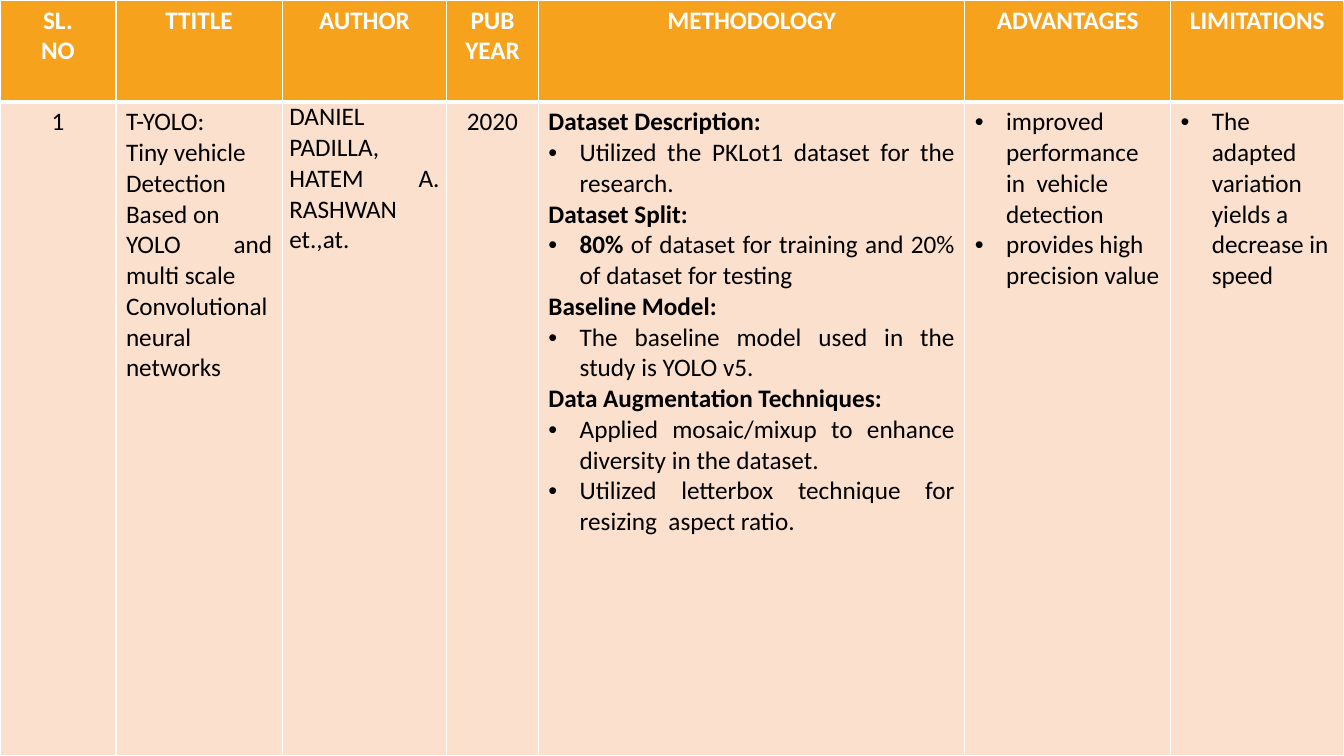
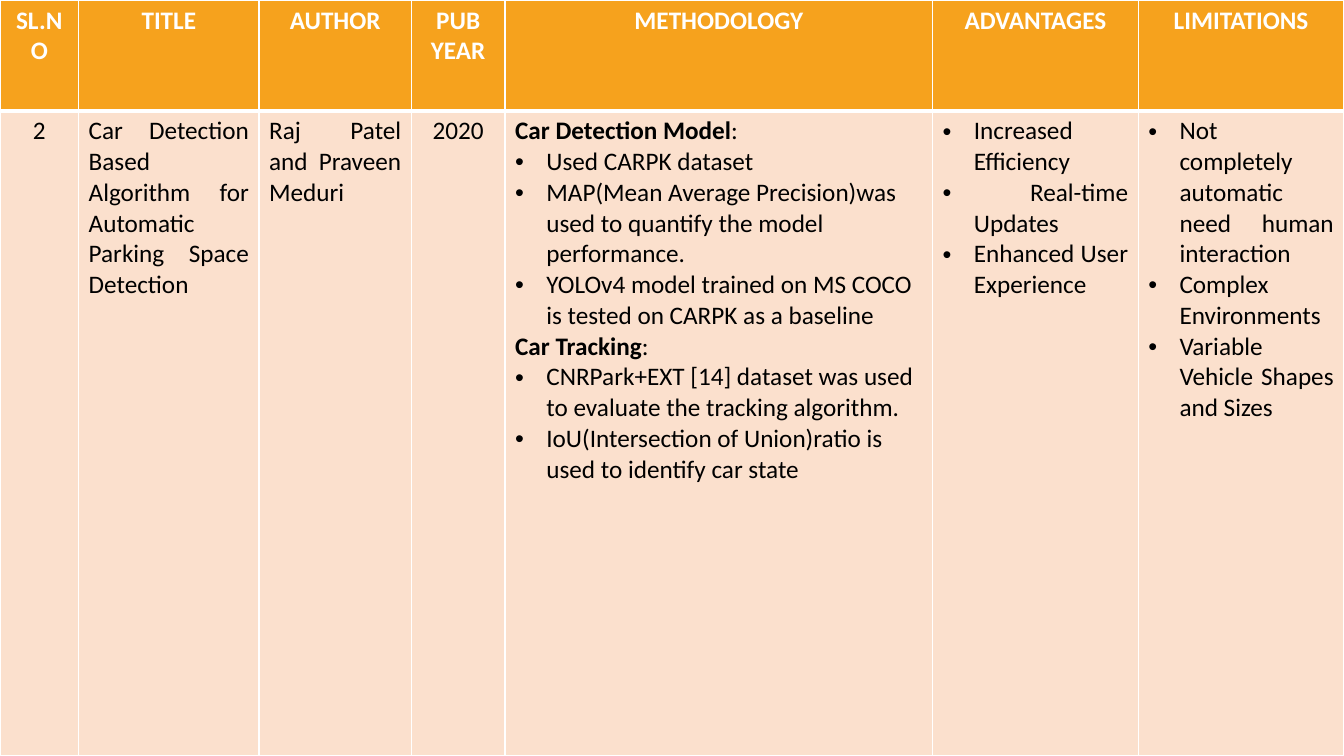
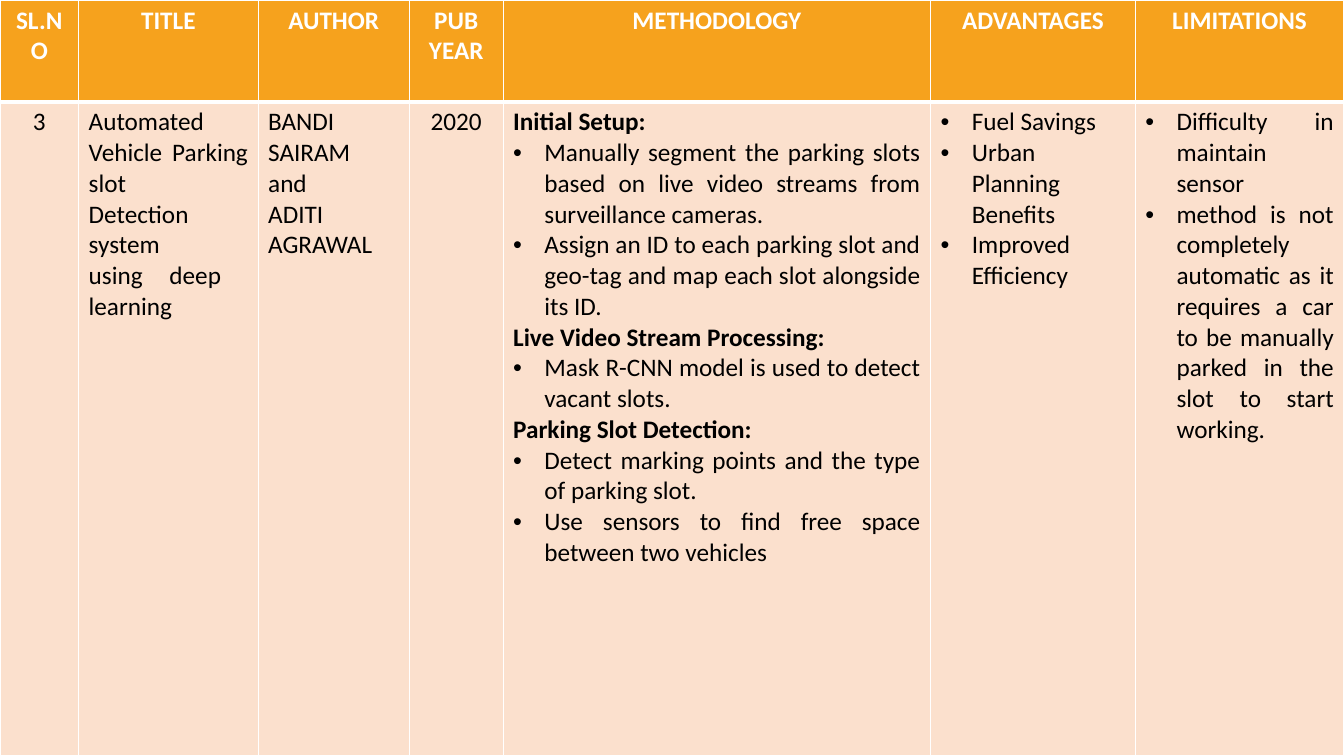
from dataclasses import dataclass

from lxml import etree
from pptx import Presentation
from pptx.dml.color import RGBColor
from pptx.enum.text import PP_ALIGN
from pptx.oxml.ns import qn
from pptx.util import Inches, Pt

LEFT, CENTER, JUSTIFY = PP_ALIGN.LEFT, PP_ALIGN.CENTER, PP_ALIGN.JUSTIFY


# Theme: colours, type sizes and measures
@dataclass(frozen=True)
class Theme:
    font: str = "Calibri"
    size: int = 18
    background: str = "F2F2F2"
    header_fill: str = "F6A21D"
    header_text: str = "FFFFFF"
    body_fill: str = "FBE0CD"
    body_text: str = "000000"
    border: str = "FFFFFF"
    thin: int = 1
    thick: int = 3
    indent: float = 0.31
    width: float = 13.33
    height: float = 7.5


THEME = Theme()


# Paragraph kinds used in the cells
@dataclass(frozen=True)
class Para:
    text: str
    lead: str = ""
    align: PP_ALIGN = JUSTIFY
    bullet: bool = False


def heading(lead, text="", align=JUSTIFY):
    return Para(text, lead, align)


def items(*texts, align=JUSTIFY):
    return [Para(text, align=align, bullet=True) for text in texts]


def lines(*texts, align=JUSTIFY):
    return [Para(text, align=align) for text in texts]


class SurveyDeck:
    """Holds the theme, the presentation and the current slide."""

    def __init__(self, theme):
        self.theme = theme
        self.deck = Presentation()
        self.deck.slide_width = Inches(theme.width)
        self.deck.slide_height = Inches(theme.height)
        fill = self.deck.slide_master.background.fill
        fill.solid()
        fill.fore_color.rgb = RGBColor.from_string(theme.background)
        self.slide = None

    def add_slide(self):
        self.slide = self.deck.slides.add_slide(self.deck.slide_layouts[6])

    def paragraph(self, paragraph, para, color, bold=False):
        paragraph.alignment = para.align
        if para.bullet:
            properties = paragraph._p.get_or_add_pPr()
            indent = Inches(self.theme.indent)
            properties.set("marL", str(indent))
            properties.set("indent", str(-indent))
            etree.SubElement(properties, qn("a:buFont"), typeface="Arial")
            etree.SubElement(properties, qn("a:buChar"), char="•")
        font = paragraph.font
        font.name, font.size = self.theme.font, Pt(self.theme.size)
        font.color.rgb = RGBColor.from_string(color)
        font.bold = bold or not para.text
        if para.lead:
            lead = paragraph.add_run()
            lead.text = para.lead
            lead.font.bold = True
        if para.text:
            paragraph.add_run().text = para.text

    def borders(self, cell, top, bottom):
        thin = self.theme.thin
        properties = cell._tc.get_or_add_tcPr()
        for side, points in zip("LRTB", (thin, thin, top, bottom)):
            line = etree.SubElement(properties, qn(f"a:ln{side}"), w=str(Pt(points)))
            fill = etree.SubElement(line, qn("a:solidFill"))
            etree.SubElement(fill, qn("a:srgbClr"), val=self.theme.border)

    def cell(self, cell, paras, is_header):
        theme = self.theme
        if is_header:
            fill, color = theme.header_fill, theme.header_text
            self.borders(cell, theme.thin, theme.thick)
        else:
            fill, color = theme.body_fill, theme.body_text
            self.borders(cell, theme.thick, theme.thin)
        cell.fill.solid()
        cell.fill.fore_color.rgb = RGBColor.from_string(fill)
        frame = cell.text_frame
        for index, para in enumerate(paras):
            target = frame.add_paragraph() if index else frame.paragraphs[0]
            self.paragraph(target, para, color, is_header)

    def survey_table(self, headers, study, widths, header_height):
        """Fill the slide; the last column and row take what is left."""
        theme = self.theme
        table = self.slide.shapes.add_table(
            2, len(headers), 0, 0, Inches(theme.width), Inches(theme.height)).table
        table.horz_banding = False
        for column, width in zip(table.columns, [*widths, theme.width - sum(widths)]):
            column.width = Inches(width)
        for row, height in zip(table.rows, (header_height, theme.height - header_height)):
            row.height = Inches(height)
        for column, (header, paras) in enumerate(zip(headers, study)):
            self.cell(table.cell(0, column), lines(*header, align=CENTER), True)
            self.cell(table.cell(1, column), paras, False)
        return table

    def save(self):
        self.deck.save("out.pptx")


def headers(number=("SL.NO",), title="TITLE"):
    return [number, (title,), ("AUTHOR",), ("PUB YEAR",), ("METHODOLOGY",),
            ("ADVANTAGES",), ("LIMITATIONS",)]


def main():
    survey = SurveyDeck(THEME)
    year = lines("2020", align=CENTER)

    # Study 1: tiny vehicle detection
    survey.add_slide()
    tiny_vehicles = [
        lines("1", align=CENTER),
        lines("T-YOLO:", "Tiny vehicle", "Detection", "Based on",
              "YOLO and multi scale", "Convolutional neural", "networks"),
        lines("DANIEL PADILLA, HATEM A. RASHWAN et.,at."),
        year,
        [heading("Dataset Description:"),
         *items("Utilized the PKLot1 dataset for the research."),
         heading("Dataset Split:"),
         Para("of dataset for training and 20% of dataset for testing",
              lead="80% ", bullet=True),
         heading("Baseline Model:"),
         *items("The baseline model used in the study is YOLO v5."),
         heading("Data Augmentation Techniques:", align=LEFT),
         *items("Applied mosaic/mixup to enhance diversity in the dataset.",
                "Utilized letterbox technique for resizing  aspect ratio.")],
        items("improved performance in  vehicle detection",
              "provides high precision value", align=LEFT),
        items("The adapted variation yields a decrease in speed", align=LEFT),
    ]
    table = survey.survey_table(headers(("SL.", "NO"), "TTITLE"), tiny_vehicles,
                                [1.15, 1.65, 1.63, 0.91, 4.23, 2.04], 1.01)
    author = table.cell(1, 2)
    author.margin_left = author.margin_right = Inches(0.07)
    author.margin_top = author.margin_bottom = 0

    # Study 2: car detection and tracking
    survey.add_slide()
    car_detection = [
        lines("2", align=CENTER),
        lines("Car Detection Based Algorithm for Automatic Parking Space Detection"),
        lines("Raj Patel and Praveen Meduri"),
        year,
        [heading("Car Detection Model", ":"),
         *items("Used CARPK dataset",
                "MAP(Mean Average Precision)was used to quantify the model performance.",
                "YOLOv4 model trained on MS COCO is tested on CARPK as a baseline",
                align=LEFT),
         heading("Car Tracking", ":"),
         *items("CNRPark+EXT [14] dataset was used to evaluate the tracking algorithm.",
                "IoU(Intersection of Union)ratio is used to identify car state",
                align=LEFT)],
        items("Increased Efficiency", " Real-time Updates", "Enhanced User Experience"),
        items("Not completely automatic need human interaction",
              "Complex Environments", "Variable Vehicle Shapes and Sizes"),
    ]
    survey.survey_table(headers(), car_detection,
                        [0.78, 1.79, 1.51, 0.93, 4.24, 2.04], 1.1)

    # Study 3: parking slot detection
    survey.add_slide()
    slot_detection = [
        lines("3", align=CENTER),
        lines("Automated Vehicle Parking slot", "Detection  system",
              "using deep  learning"),
        lines("BANDI SAIRAM", "and", "ADITI AGRAWAL"),
        year,
        [heading("Initial Setup:"),
         *items("Manually segment the parking slots based on live video streams "
                "from surveillance cameras.",
                "Assign an ID to each parking slot and geo-tag and map each slot "
                "alongside its ID."),
         heading("Live Video Stream Processing:"),
         *items("Mask R-CNN model is used to detect vacant slots."),
         heading("Parking Slot Detection:"),
         *items("Detect marking points and the type of parking slot.",
                "Use sensors to find free space between two vehicles")],
        items("Fuel Savings", "Urban Planning Benefits", "Improved Efficiency"),
        items("Difficulty in maintain sensor",
              "method is not completely automatic as it requires a car to be "
              "manually parked in the slot to start working."),
    ]
    survey.survey_table(headers(), slot_detection,
                        [0.78, 1.78, 1.5, 0.93, 4.24, 2.03], 1.01)

    survey.save()


if __name__ == "__main__":
    main()
